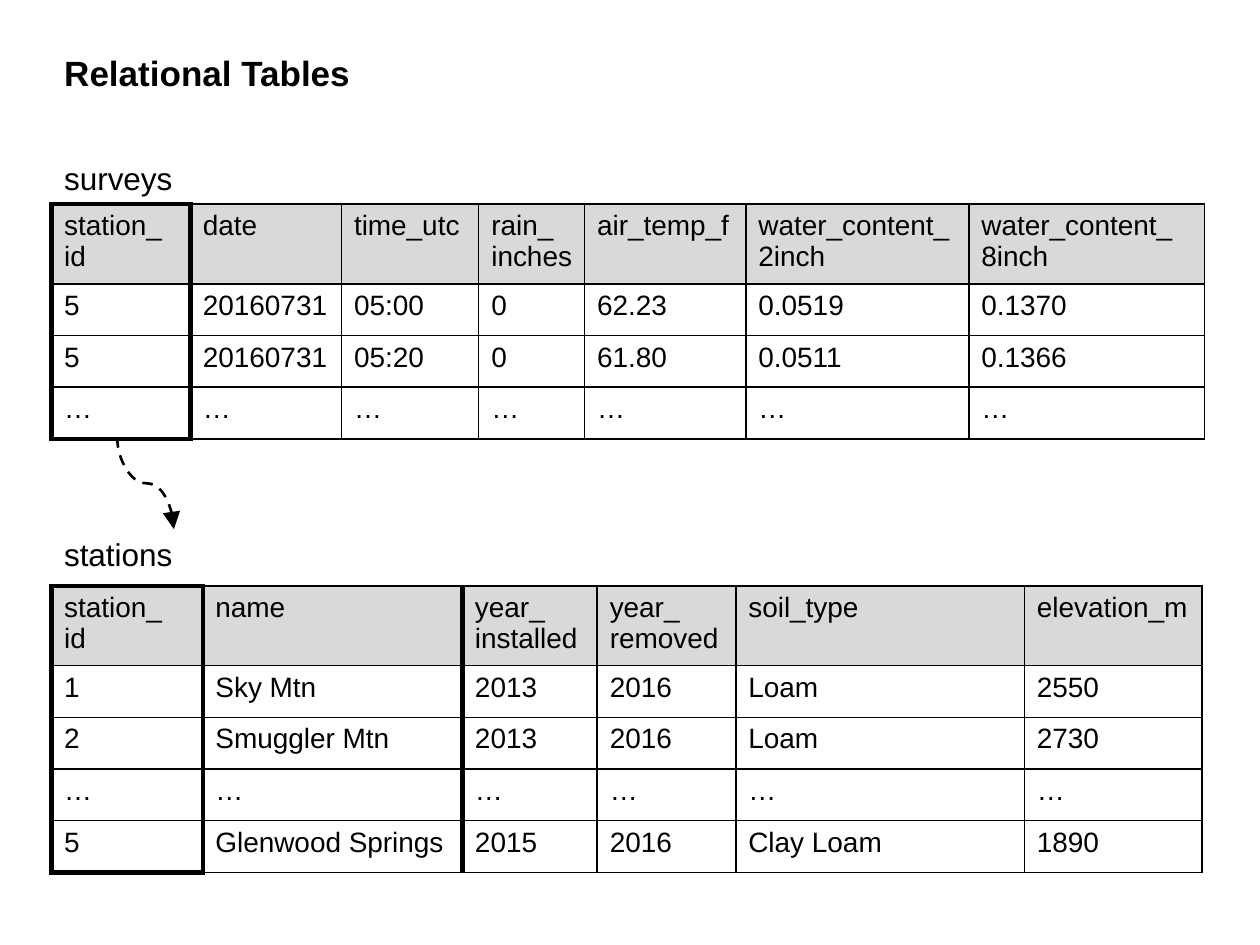
"""Build a slide showing two relational tables joined by a station key."""
from lxml.etree import SubElement
from pptx import Presentation
from pptx.dml.color import RGBColor
from pptx.enum.dml import MSO_LINE
from pptx.enum.shapes import MSO_CONNECTOR
from pptx.enum.text import MSO_ANCHOR, PP_ALIGN
from pptx.oxml.ns import qn
from pptx.util import Inches, Pt

BLACK = RGBColor(0x00, 0x00, 0x00)
HEADER_GRAY = RGBColor(0xD9, 0xD9, 0xD9)
FONT = "Arial"
LEFT, ROW_HEIGHT, LABEL_HEIGHT = 0.41, 0.41, 0.41
CELL_RIGHT_MARGIN = 0.07
THIN, THICK = 1, 3

TITLE = "Relational Tables"
TABLES = [
    {
        "name": "surveys", "label_top": 1.21, "top": 1.62, "header_height": 0.59,
        "widths": [1.1, 1.2, 1.09, 0.84, 1.28, 1.77, 1.87],
        "thick_edges": {0, 1},
        "rows": [
            ["station_ id", "date", "time_utc", "rain_ inches", "air_temp_f",
             "water_content_ 2inch", "water_content_ 8inch"],
            ["5", "20160731", "05:00", "0", "62.23", "0.0519", "0.1370"],
            ["5", "20160731", "05:20", "0", "61.80", "0.0511", "0.1366"],
            ["…"] * 7,
        ],
    },
    {
        "name": "stations", "label_top": 4.2, "top": 4.65, "header_height": 0.62,
        "widths": [1.2, 2.06, 1.07, 1.1, 2.29, 1.41],
        "thick_edges": {0, 1, 2},
        "rows": [
            ["station_\nid", "name", "year_\ninstalled", "year_\nremoved",
             "soil_type", "elevation_m"],
            ["1", "Sky Mtn", "2013", "2016", "Loam", "2550"],
            ["2", "Smuggler Mtn", "2013", "2016", "Loam", "2730"],
            ["…"] * 6,
            ["5", "Glenwood Springs", "2015", "2016", "Clay Loam", "1890"],
        ],
    },
]
ARROW_START, ARROW_END = (0.93, 3.47), (1.38, 4.2)


def write(text_frame, text, size, bold=False):
    text_frame.text = text
    for paragraph in text_frame.paragraphs:
        paragraph.alignment = PP_ALIGN.LEFT
        for run in paragraph.runs:
            run.font.name, run.font.size, run.font.bold = FONT, Pt(size), bold
            run.font.color.rgb = BLACK


def set_borders(cell, widths):
    properties = cell._tc.get_or_add_tcPr()
    for side, width in widths.items():
        line = SubElement(properties, qn(f"a:ln{side}"), w=str(Pt(width)))
        fill = SubElement(line, qn("a:solidFill"))
        SubElement(fill, qn("a:srgbClr"), val=str(BLACK))


def add_title(slide):
    title = slide.shapes.title
    title.left, title.top = Inches(LEFT), Inches(0.36)
    title.width, title.height = Inches(5.87), Inches(0.44)
    title.text_frame.vertical_anchor = MSO_ANCHOR.TOP
    write(title.text_frame, TITLE, 20, bold=True)


def add_relation(slide, relation):
    rows, widths = relation["rows"], relation["widths"]
    label = slide.shapes.add_textbox(
        Inches(LEFT), Inches(relation["label_top"]), Inches(3.28), Inches(LABEL_HEIGHT))
    label.text_frame.word_wrap = True
    write(label.text_frame, relation["name"], 18)

    heights = [relation["header_height"]] + [ROW_HEIGHT] * (len(rows) - 1)
    table = slide.shapes.add_table(
        len(rows), len(widths), Inches(LEFT), Inches(relation["top"]),
        Inches(sum(widths)), Inches(sum(heights))).table
    table.first_row = table.horz_banding = False
    for column, width in zip(table.columns, widths):
        column.width = Inches(width)
    for row, height in zip(table.rows, heights):
        row.height = Inches(height)

    thick = relation["thick_edges"]
    for i, values in enumerate(rows):
        for j, value in enumerate(values):
            cell = table.cell(i, j)
            cell.margin_right = Inches(CELL_RIGHT_MARGIN)
            write(cell.text_frame, value, 16)
            set_borders(cell, {
                "L": THICK if j in thick else THIN,
                "R": THICK if j + 1 in thick else THIN,
                "T": THICK if (i, j) == (0, 0) else THIN,
                "B": THICK if (i, j) == (len(rows) - 1, 0) else THIN,
            })
            if i == 0:
                cell.fill.solid()
                cell.fill.fore_color.rgb = HEADER_GRAY
            else:
                cell.fill.background()


def add_key_arrow(slide):
    (x1, y1), (x2, y2) = ARROW_START, ARROW_END
    center_x, center_y = (x1 + x2) / 2, (y1 + y2) / 2
    half_length, half_breadth = (y2 - y1) / 2, (x2 - x1) / 2
    arrow = slide.shapes.add_connector(
        MSO_CONNECTOR.CURVE,
        Inches(center_x + half_length), Inches(center_y - half_breadth),
        Inches(center_x - half_length), Inches(center_y + half_breadth))
    properties = arrow._element.spPr
    properties.find(qn("a:xfrm")).set("rot", str(270 * 60000))
    arrow.line.color.rgb = BLACK
    arrow.line.width = Pt(1.5)
    arrow.line.dash_style = MSO_LINE.DASH
    SubElement(properties.find(qn("a:ln")), qn("a:tailEnd"),
               type="triangle", w="lg", len="lg")
    SubElement(properties, qn("a:effectLst"))


def main():
    presentation = Presentation()
    presentation.slide_width, presentation.slide_height = Inches(10), Inches(7.5)
    slide = presentation.slides.add_slide(presentation.slide_layouts[5])
    add_title(slide)
    for relation in TABLES:
        add_relation(slide, relation)
    add_key_arrow(slide)
    presentation.save("out.pptx")


if __name__ == "__main__":
    main()
